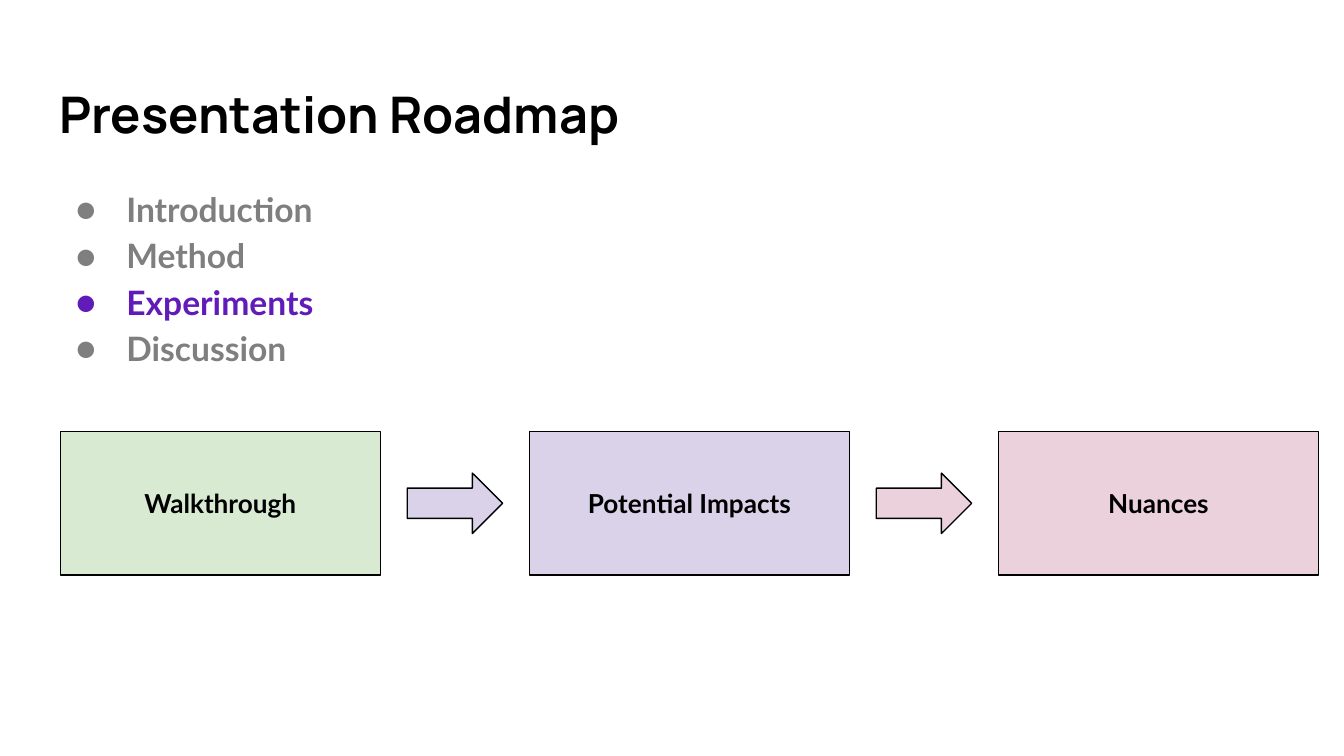
from lxml import etree
from pptx import Presentation
from pptx.dml.color import RGBColor
from pptx.enum.shapes import MSO_SHAPE
from pptx.enum.text import MSO_ANCHOR, MSO_AUTO_SIZE, PP_ALIGN
from pptx.oxml.ns import qn
from pptx.util import Inches, Pt

RECT, ARROW = MSO_SHAPE.RECTANGLE, MSO_SHAPE.RIGHT_ARROW
TOP, MIDDLE, BOTTOM = MSO_ANCHOR.TOP, MSO_ANCHOR.MIDDLE, MSO_ANCHOR.BOTTOM
LEFT, CENTER = PP_ALIGN.LEFT, PP_ALIGN.CENTER
NO_FIT = MSO_AUTO_SIZE.NONE

# Content
TITLE = "Presentation Roadmap"
AGENDA = ["Introduction", "Method", "Experiments", "Discussion"]
CURRENT = "Experiments"
STEPS = [("Walkthrough", "green"), ("Potential Impacts", "lilac"), ("Nuances", "pink")]

COLORS = {"black": "000000", "gray": "7F7F7F", "purple": "611BB8",
          "green": "D9EAD3", "lilac": "D9D2E9", "pink": "EAD1DC"}
FORMATS = {
    "title": {"name": "Manrope", "size": Pt(27), "bold": True},
    "agenda": {"name": "Lato", "size": Pt(18), "bold": True},
    "step": {"name": "Lato", "size": Pt(14), "bold": True},
}

# Step row, in inches
ROW_X, ROW_Y, BOX_W, BOX_H = 0.45, 3.21, 2.38, 1.07
ARROW_W, ARROW_H, GAP = 0.71, 0.45, 0.2
PITCH = BOX_W + ARROW_W + 2 * GAP


def rgb(color):
    return RGBColor.from_string(COLORS[color])


def set_font(font, style, color):
    for key, value in FORMATS[style].items():
        setattr(font, key, value)
    font.color.rgb = rgb(color)


def set_frame(tf, anchor):
    values = {"word_wrap": True, "auto_size": NO_FIT, "vertical_anchor": anchor}
    for side in ("left", "top", "right", "bottom"):
        values[f"margin_{side}"] = Inches(0.1)
    for key, value in values.items():
        setattr(tf, key, value)


def place(sp, x, y, w, h):
    sp.left, sp.top, sp.width, sp.height = (Inches(v) for v in (x, y, w, h))


def write(p, text, style, color, align):
    p.alignment = align
    r = p.add_run()
    r.text = text
    set_font(r.font, style, color)


def add_bullet(p, color):
    pPr = p._p.get_or_add_pPr()
    pPr.set("marL", str(Inches(0.5)))
    pPr.set("indent", str(-Inches(3) // 8))
    clr = etree.SubElement(pPr, qn("a:buClr"))
    etree.SubElement(clr, qn("a:srgbClr"), val=COLORS[color])
    etree.SubElement(pPr, qn("a:buSzPts"), val="1800")
    etree.SubElement(pPr, qn("a:buFont"), typeface="Lato")
    etree.SubElement(pPr, qn("a:buChar"), char="●")


def add_block(s, kind, x, y, w, h, color):
    sp = s.shapes.add_shape(kind, *(Inches(v) for v in (x, y, w, h)))
    sp.shadow.inherit = False
    sp.fill.solid()
    sp.fill.fore_color.rgb = rgb(color)
    sp.line.color.rgb = rgb("black")
    sp.line.width = Pt(0.75)
    return sp


# Widescreen 16:9 slide
prs = Presentation()
prs.slide_width = Inches(10)
prs.slide_height = prs.slide_width * 9 // 16
s = prs.slides.add_slide(prs.slide_layouts[1])

# Title
title = s.shapes.title
place(title, 0.34, 0.49, 9.32, 0.68)
set_frame(title.text_frame, BOTTOM)
write(title.text_frame.paragraphs[0], TITLE, "title", "black", LEFT)

# Agenda with the current section highlighted
body = s.placeholders[1]
place(body, 0.34, 1.26, 9.32, 3.74)
tf = body.text_frame
set_frame(tf, TOP)
for i, item in enumerate(AGENDA):
    p = tf.add_paragraph() if i else tf.paragraphs[0]
    color = "purple" if item == CURRENT else "gray"
    add_bullet(p, color)
    p.line_spacing = 1.15
    p.space_before = Pt(0)
    write(p, item, "agenda", color, LEFT)

# Steps, each after the first led into by an arrow of its own colour
for i, (label, color) in enumerate(STEPS):
    x = ROW_X + i * PITCH
    if i:
        add_block(s, ARROW, x - GAP - ARROW_W, ROW_Y + (BOX_H - ARROW_H) / 2,
                  ARROW_W, ARROW_H, color)
    box = add_block(s, RECT, x, ROW_Y, BOX_W, BOX_H, color)
    set_frame(box.text_frame, MIDDLE)
    write(box.text_frame.paragraphs[0], label, "step", "black", CENTER)

prs.save("out.pptx")
